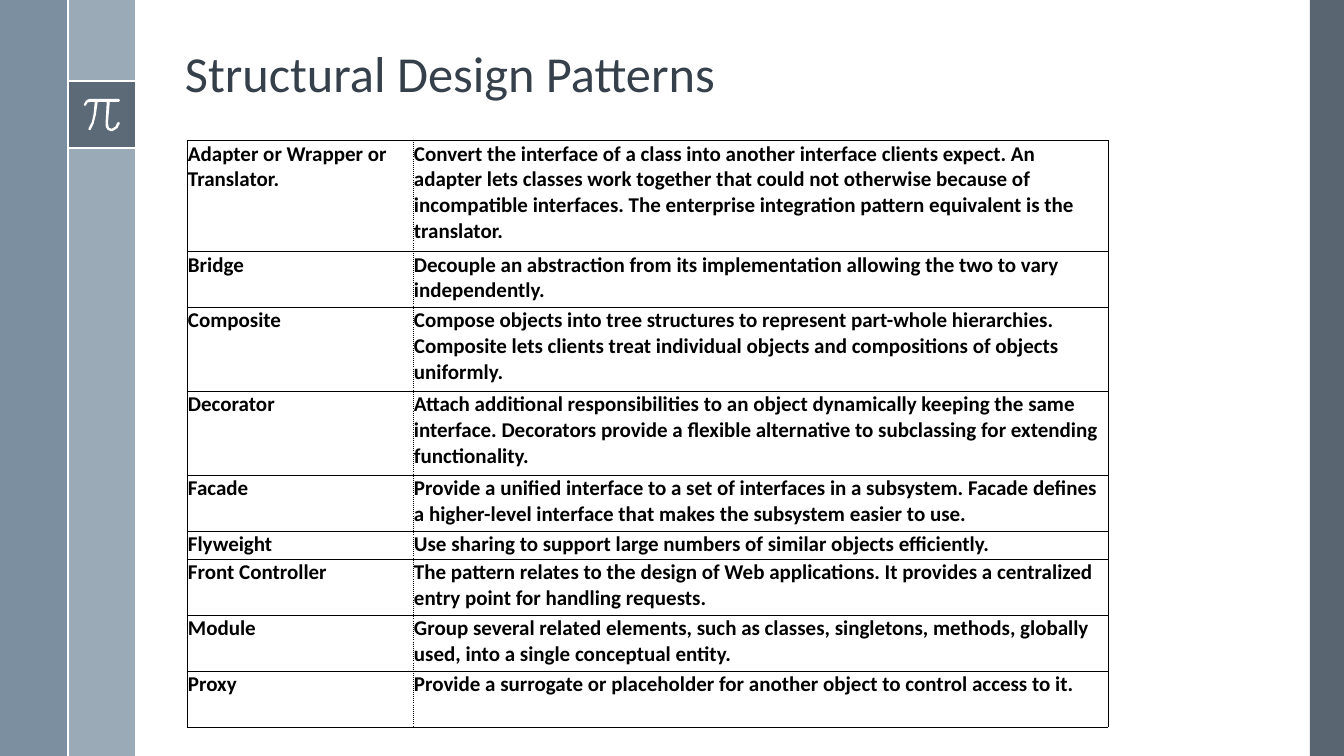
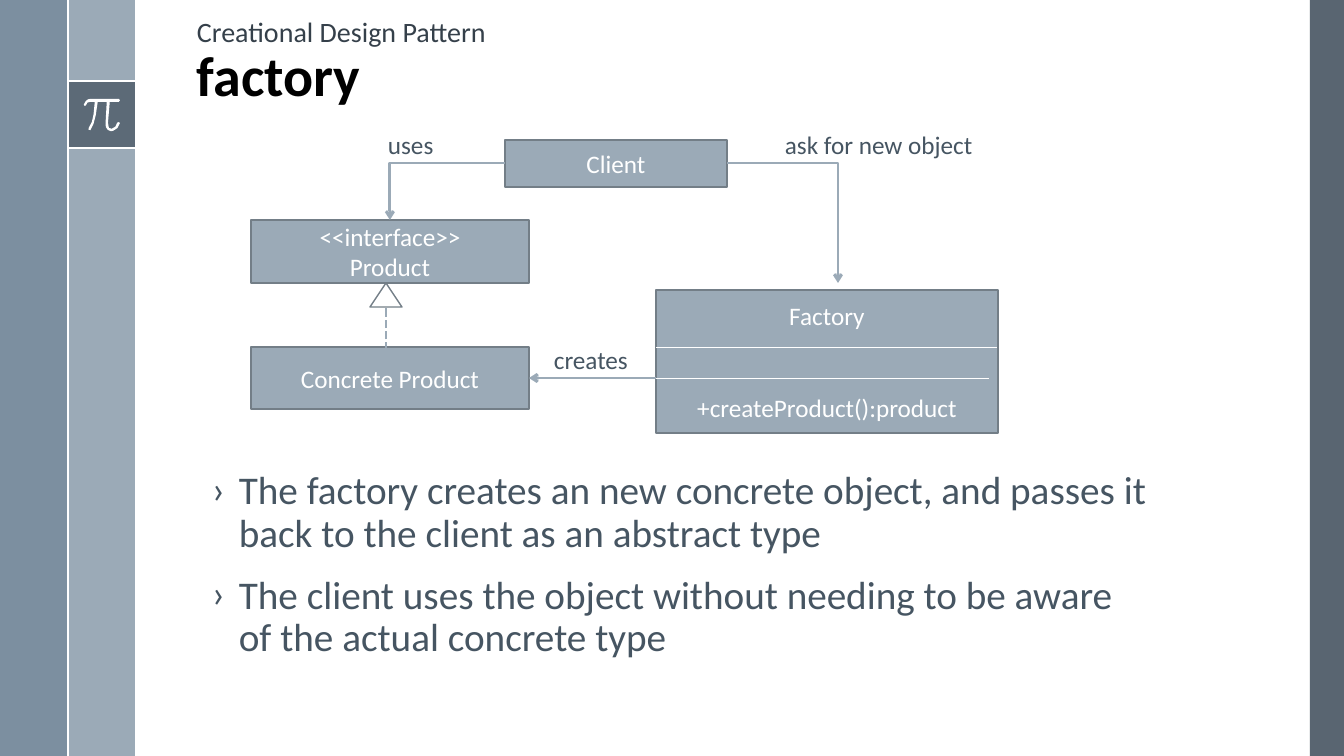
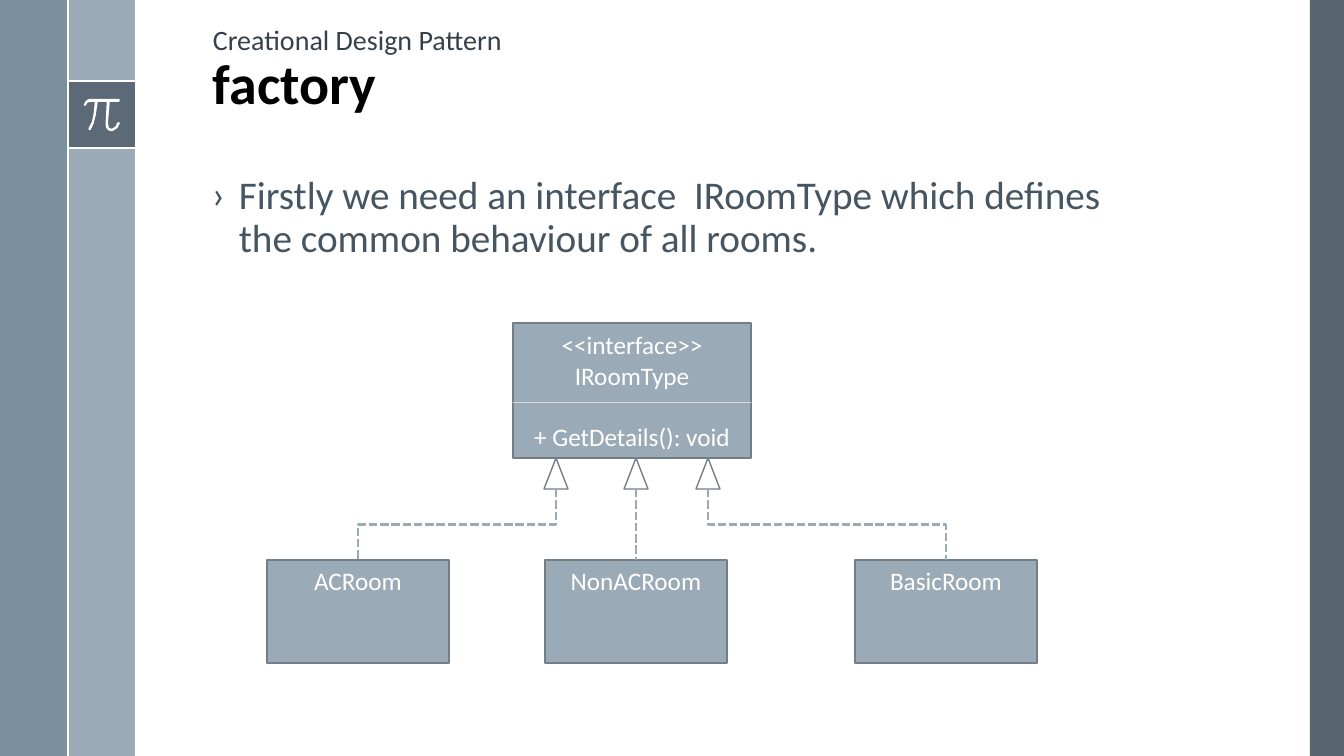
import pptx
import pptx.util
import pptx.dml.color
import pptx.enum.dml
import pptx.enum.shapes
import pptx.enum.text
import pptx.oxml
import pptx.oxml.ns
from lxml import etree

WIDTH, HEIGHT = 1344, 756
SCALE = 12192000 / WIDTH  # EMU per px
FONT = "Calibri"
COLOURS = {
    "white": "FFFFFF", "black": "000000", "title": "35404A", "text": "465562",
    "dark": "475562", "slate": "6A8093", "box": "9BAAB7", "outline": "737E87",
    "pale": "D9D9D9",
}
SHAPES = pptx.enum.shapes.MSO_SHAPE
ANCHORS = pptx.enum.text.MSO_ANCHOR
ALIGN = pptx.enum.text.PP_ALIGN
DASHED = pptx.enum.dml.MSO_LINE.SQUARE_DOT
qn = pptx.oxml.ns.qn

# Outline of the pi sign, in tenths of a px
PI_SIGN = [
    (1189, 988), (907, 988), (880, 994), (859, 1010), (838, 1046), (845, 1058),
    (858, 1056), (875, 1026), (907, 1018), (948, 1018), (936, 1145), (919, 1220),
    (887, 1280), (885, 1297), (905, 1302), (935, 1240), (958, 1152), (978, 1018),
    (1068, 1018), (1056, 1230), (1059, 1272), (1079, 1300), (1108, 1312),
    (1130, 1310), (1175, 1281), (1199, 1232), (1190, 1220), (1172, 1228),
    (1155, 1266), (1119, 1288), (1090, 1280), (1080, 1230), (1098, 1018),
    (1189, 1018), (1200, 1004),
]

PATTERNS = [
    (111, "Adapter or Wrapper or Translator.",
     "Convert the interface of a class into another interface clients expect. An adapter lets "
     "classes work together that could not otherwise because of incompatible interfaces. The "
     "enterprise integration pattern equivalent is the translator."),
    (56, "Bridge",
     "Decouple an abstraction from its implementation allowing the two to vary independently."),
    (84, "Composite",
     "Compose objects into tree structures to represent part-whole hierarchies. Composite lets "
     "clients treat individual objects and compositions of objects uniformly."),
    (84, "Decorator",
     "Attach additional responsibilities to an object dynamically keeping the same interface. "
     "Decorators provide a flexible alternative to subclassing for extending functionality."),
    (56, "Facade",
     "Provide a unified interface to a set of interfaces in a subsystem. Facade defines a "
     "higher-level interface that makes the subsystem easier to use."),
    (28, "Flyweight",
     "Use sharing to support large numbers of similar objects efficiently."),
    (56, "Front Controller",
     "The pattern relates to the design of Web applications. It provides a centralized entry "
     "point for handling requests."),
    (56, "Module",
     "Group several related elements, such as classes, singletons, methods, globally used, into "
     "a single conceptual entity."),
    (56, "Proxy",
     "Provide a surrogate or placeholder for another object to control access to it."),
]


def px(length):
    return pptx.util.Emu(round(length * SCALE))


def rgb(name):
    return pptx.dml.color.RGBColor.from_string(COLOURS[name])


class Deck:
    def __init__(self):
        self.prs = pptx.Presentation()
        self.prs.slide_width, self.prs.slide_height = px(WIDTH), px(HEIGHT)
        self.slide = None

    def new_slide(self):
        """Start a slide with the side bands and the pi sign."""
        self.slide = self.prs.slides.add_slide(self.prs.slide_layouts[6])
        self.band(1310, 0, 34, HEIGHT, "dark", 90)
        self.band(68, 0, 67, HEIGHT, "box")
        self.band(0, 0, 68, HEIGHT, "slate", 88)
        self.band(68, 81, 67, 67, "dark", 75)
        for y in (81, 148):
            self.line((68, y), (135, y), "white", 1.5)
        builder = self.slide.shapes.build_freeform(*PI_SIGN[0], scale=SCALE / 10)
        builder.add_line_segments(PI_SIGN[1:], close=True)
        self.paint(builder.convert_to_shape(), "white")
        self.line((68, 0), (68, HEIGHT), "white", 1.5)

    def paint(self, shape, fill=None, outline=None):
        shape.shadow.inherit = False
        if fill:
            shape.fill.solid()
            shape.fill.fore_color.rgb = rgb(fill)
        else:
            shape.fill.background()
        if outline:
            shape.line.color.rgb = rgb(outline)
            shape.line.width = pptx.util.Pt(1)
        else:
            shape.line.fill.background()

    def shape(self, kind, x, y, w, h, fill=None, outline=None):
        shape = self.slide.shapes.add_shape(kind, px(x), px(y), px(w), px(h))
        self.paint(shape, fill, outline)
        return shape

    def band(self, x, y, w, h, fill, opacity=100):
        band = self.shape(SHAPES.RECTANGLE, x, y, w, h, fill)
        if opacity < 100:
            colour = band.element.spPr.find(qn("a:solidFill"))[0]
            etree.SubElement(colour, qn("a:alpha"), val=str(opacity * 1000))

    def add_run(self, paragraph, text, size, colour, bold=False):
        run = paragraph.add_run()
        run.text = text
        run.font.name, run.font.size, run.font.bold = FONT, pptx.util.Pt(size), bold
        run.font.color.rgb = rgb(colour)

    def paragraphs(self, frame, count):
        frame.word_wrap = True
        return [frame.paragraphs[0]] + [frame.add_paragraph() for _ in range(count - 1)]

    def text_frame(self, x, y, w, h):
        return self.slide.shapes.add_textbox(px(x), px(y), px(w), px(h)).text_frame

    def title(self, x, y, w, h, *lines):
        frame = self.text_frame(x, y, w, h)
        frame.vertical_anchor = ANCHORS.BOTTOM
        for paragraph, line in zip(self.paragraphs(frame, len(lines)), lines):
            paragraph.line_spacing = 0.9
            self.add_run(paragraph, *line)

    def pattern_title(self, x, y):
        self.title(x, y, 958, 93, ("Creational Design Pattern", 20, "title"),
                   ("factory", 40, "black", True))

    def bullets(self, y, h, *items):
        frame = self.text_frame(202, y, 958, h)
        for i, paragraph in enumerate(self.paragraphs(frame, len(items))):
            paragraph.line_spacing = 0.9
            if i:
                paragraph.space_before = pptx.util.Pt(14)
            props = paragraph._p.get_or_add_pPr()
            props.set("marL", str(px(27)))
            props.set("indent", str(px(-27)))
            etree.SubElement(props, qn("a:buFont"), typeface=FONT)
            etree.SubElement(props, qn("a:buChar"), char="›")
            self.add_run(paragraph, items[i], 28, "text")

    def label(self, x, y, w, text):
        paragraph, = self.paragraphs(self.text_frame(x, y, w, 40), 1)
        self.add_run(paragraph, text, 18, "text")

    def class_box(self, x, y, w, h, *lines, gap=0, anchor=ANCHORS.MIDDLE):
        """Draw a class; gap is the space in points above its last line."""
        box = self.shape(SHAPES.RECTANGLE, x, y, w, h, "box", "outline")
        box.text_frame.vertical_anchor = anchor
        paragraphs = self.paragraphs(box.text_frame, len(lines))
        for paragraph, line in zip(paragraphs, lines):
            paragraph.alignment = ALIGN.CENTER
            self.add_run(paragraph, line, 18, "white")
        if gap:
            paragraphs[-1].space_before = pptx.util.Pt(gap)
        return box

    def triangle(self, x, y, w, h):
        self.shape(SHAPES.ISOSCELES_TRIANGLE, x, y, w, h, outline="outline")

    def line(self, start, end, colour="box", width=2, dashed=False, arrow=False,
             kind=pptx.enum.shapes.MSO_CONNECTOR.STRAIGHT):
        line = self.slide.shapes.add_connector(kind, *map(px, start + end))
        line.line.color.rgb = rgb(colour)
        line.line.width = pptx.util.Pt(width)
        if dashed:
            line.line.dash_style = DASHED
        props = line.element.spPr
        if arrow:
            etree.SubElement(props.find(qn("a:ln")), qn("a:tailEnd"), type="arrow")
        etree.SubElement(props, qn("a:effectLst"))
        return line

    def corner_arrow(self, start, end):
        """Run sideways, then down."""
        arrow = self.line(start, end, arrow=True, kind=pptx.enum.shapes.MSO_CONNECTOR.ELBOW)
        arrow.element.spPr.find(qn("a:prstGeom")).set("prst", "bentConnector2")

    def step_line(self, start, end):
        """Run down, sideways and down again: an elbow turned by a quarter."""
        (x1, y1), (x2, y2) = start, end
        mid_x, mid_y = (x1 + x2) / 2, (y1 + y2) / 2
        half_w, half_h = (y2 - y1) / 2, abs(x2 - x1) / 2
        if x2 > x1:
            half_w = -half_w
        step = self.line((mid_x - half_w, mid_y - half_h), (mid_x + half_w, mid_y + half_h),
                         dashed=True, kind=pptx.enum.shapes.MSO_CONNECTOR.ELBOW)
        step.rotation = 270 if x2 > x1 else 90

    def border(self, cell, dotted_side):
        props = cell._tc.get_or_add_tcPr()
        for side in ("lnL", "lnR", "lnT", "lnB"):
            edge = etree.SubElement(props, qn("a:" + side), w=str(pptx.util.Pt(0.5)))
            fill = etree.SubElement(edge, qn("a:solidFill"))
            etree.SubElement(fill, qn("a:srgbClr"), val=COLOURS["black"])
            dash = "sysDot" if side == dotted_side else "solid"
            etree.SubElement(edge, qn("a:prstDash"), val=dash)

    def table(self, x, y, widths, rows):
        heights = [row[0] for row in rows]
        table = self.slide.shapes.add_table(len(rows), len(widths), px(x), px(y),
                                            px(sum(widths)), px(sum(heights))).table
        table.first_row = table.horz_banding = False
        for column, width in zip(table.columns, widths):
            column.width = px(width)
        for r, (height, *texts) in enumerate(rows):
            table.rows[r].height = px(height)
            for c, text in enumerate(texts):
                cell = table.cell(r, c)
                cell.margin_left = cell.margin_right = cell.margin_top = px(1)
                cell.margin_bottom = 0
                self.border(cell, "lnL" if c else "lnR")
                cell.fill.background()
                self.add_run(cell.text_frame.paragraphs[0], text, 15, "black", True)


def structural_patterns(deck):
    deck.new_slide()
    deck.title(175, 19, 1076, 89, ("Structural Design Patterns", 36, "title"))
    deck.table(187, 140, (226, 695), PATTERNS)


def factory_pattern(deck):
    deck.new_slide()
    deck.pattern_title(187, 21)
    deck.bullets(466, 205,
                 "The factory creates an new concrete object, and passes it back to the client "
                 "as an abstract type",
                 "The client uses the object without needing to be aware of the actual concrete "
                 "type")
    # Classes
    deck.class_box(505, 140, 222, 47, "Client")
    deck.class_box(656, 290, 342, 143, "Factory", "+createProduct():product", gap=44)
    deck.line((656, 347), (997, 347), "white", 0.5)
    deck.line((648, 378), (989, 378), "white", 0.5)
    concrete_product = deck.class_box(251, 347, 278, 62, "Concrete Product")
    deck.class_box(251, 220, 278, 63, "<<interface>>", "Product")
    # Relations
    deck.corner_arrow((727, 163), (838, 283))
    creates = deck.line((656, 378), (529, 378), arrow=True)
    creates.end_connect(concrete_product, 3)
    deck.line((386, 362), (386, 307), dashed=True)
    deck.triangle(370, 283, 32, 24)
    deck.corner_arrow((505, 163), (390, 220))
    deck.label(775, 124, 232, "ask for new object")
    deck.label(544, 339, 105, "creates")
    deck.label(378, 124, 74, "uses")


def room_types(deck):
    deck.new_slide()
    deck.bullets(171, 135, "Firstly we need an interface  IRoomType which defines the common "
                           "behaviour of all rooms.")
    deck.pattern_title(203, 29)
    # Interface
    deck.class_box(513, 323, 238, 135, "<<interface>>", "IRoomType", "+ GetDetails(): void",
                   gap=22)
    deck.line((513, 402), (751, 402), "pale", 0.5)
    # Rooms, each joined to the interface at its tip
    room_w, top, base = 182, 560, 489
    for name, x, tip in (("ACRoom", 267, 556), ("NonACRoom", 545, 636), ("BasicRoom", 855, 708)):
        room = deck.class_box(x, top, room_w, 103, name, anchor=ANCHORS.TOP)
        deck.triangle(tip - 12, 458, 24, base - 458)
        room_mid = x + room_w // 2
        if room_mid == tip:
            deck.line((tip, base), (tip, top), dashed=True).end_connect(room, 0)
        else:
            deck.step_line((tip, base), (room_mid, top))


def main():
    deck = Deck()
    structural_patterns(deck)
    factory_pattern(deck)
    room_types(deck)
    deck.prs.save("out.pptx")


if __name__ == "__main__":
    main()
